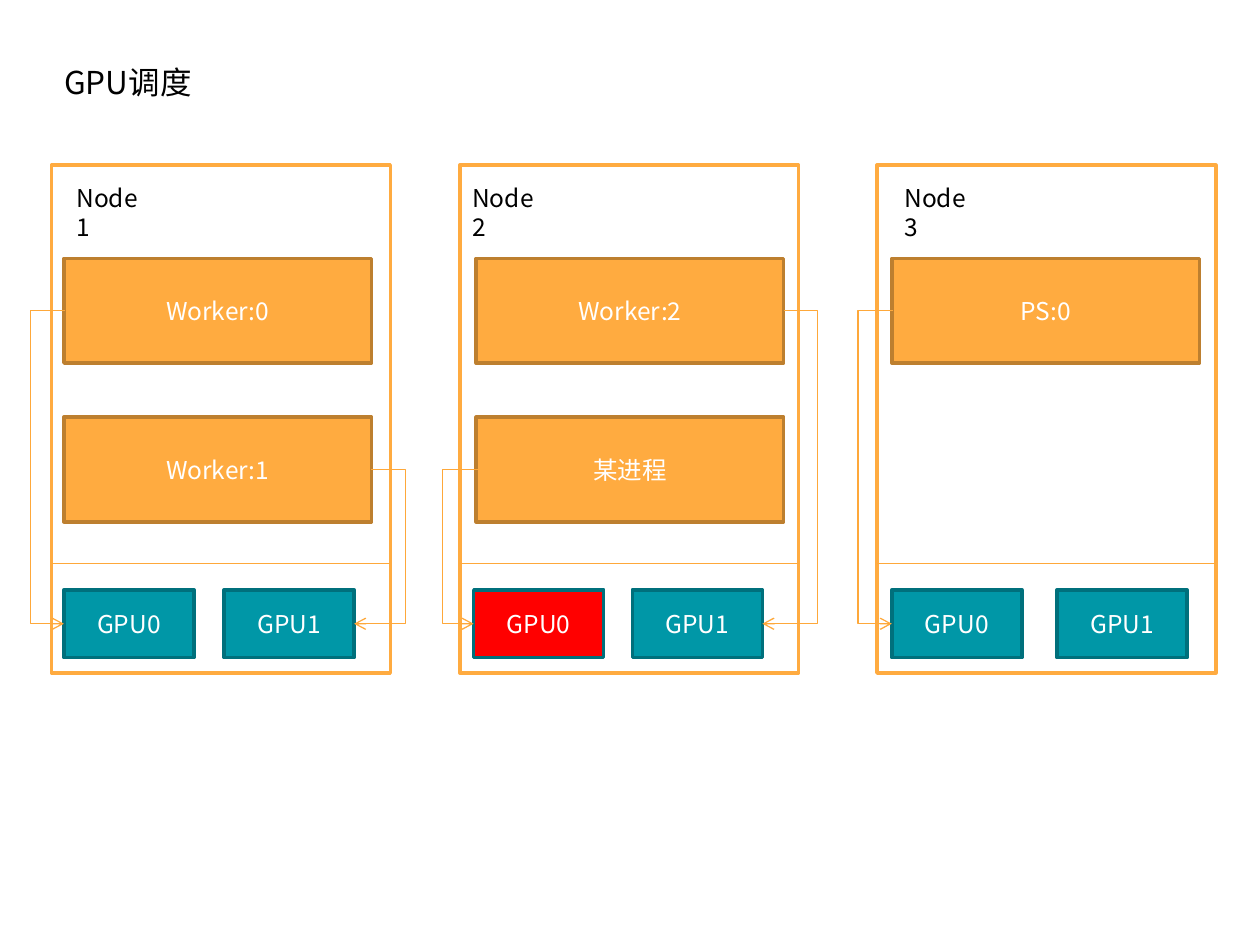
import pptx
import pptx.util
import pptx.dml.color
import pptx.enum.shapes
import pptx.enum.text
import pptx.oxml
import pptx.oxml.ns

Cm = pptx.util.Cm
Pt = pptx.util.Pt
FONT = "Noto Sans CJK SC"
COLORS = {
    "text": "000000", "white": "FFFFFF", "orange": "FFAB40",
    "brown": "BD7F2F", "teal": "0097A7", "dark_teal": "00707C",
    "busy": "FF0000", "link": "FEA83A",
}
NODE_W, NODE_H, NODE_TOP = 6.83, 10.24, 3.33
PROC_W, PROC_H, PROC_TOP, PROC_PITCH = 6.2, 2.11, 1.88, 3.2
GPU_W, GPU_H, GPU_TOP = 2.62, 1.37, 8.56
DIVIDER_Y = 8.03
ELBOW_OUT = 0.68

NODES = [
    {"name": "Node1", "left": 1.04, "label_x": 0.25, "proc_x": 0.25,
     "gpu_x": (0.25, 3.48), "procs": (("Worker:0", 0), ("Worker:1", 1)),
     "busy": ()},
    {"name": "Node2", "left": 9.27, "label_x": 0, "proc_x": 0.33,
     "gpu_x": (0.28, 3.48), "procs": (("Worker:2", 1), ("某进程", 0)),
     "busy": (0,)},
    {"name": "Node3", "left": 17.68, "label_x": 0.3, "proc_x": 0.3,
     "gpu_x": (0.3, 3.63), "procs": (("PS:0", 0),), "busy": ()},
]


def rgb(key):
    return pptx.dml.color.RGBColor.from_string(COLORS[key])


def style_text(p, size, color):
    p.font.name = FONT
    p.font.size = Pt(size)
    p.font.color.rgb = rgb(color)
    for r in p.runs:
        ea = pptx.oxml.parse_xml(
            f'<a:ea {pptx.oxml.ns.nsdecls("a")} typeface="{FONT}"/>')
        r._r.get_or_add_rPr().append(ea)


def add_box(s, x, y, w, h, fill, line, text=None):
    sp = s.shapes.add_shape(pptx.enum.shapes.MSO_SHAPE.RECTANGLE,
                            Cm(x), Cm(y), Cm(w), Cm(h))
    sp.shadow.inherit = False
    sp.fill.solid()
    sp.fill.fore_color.rgb = rgb(fill)
    sp.line.color.rgb = rgb(line)
    sp.line.width = Pt(2)
    if text:
        tf = sp.text_frame
        tf.text = text
        tf.vertical_anchor = pptx.enum.text.MSO_ANCHOR.MIDDLE
        p = tf.paragraphs[0]
        p.alignment = pptx.enum.text.PP_ALIGN.CENTER
        style_text(p, 14, "white")


def add_line(s, kind, x1, y1, x2, y2):
    cxn = s.shapes.add_connector(kind, Cm(x1), Cm(y1), Cm(x2), Cm(y2))
    cxn.line.color.rgb = rgb("link")
    cxn.line.width = Pt(0.75)
    cxn._element.spPr.append(pptx.oxml.parse_xml(
        f'<a:effectLst {pptx.oxml.ns.nsdecls("a")}/>'))
    return cxn


def add_link(s, x1, y1, x2, y2, bend_x):
    cxn = add_line(s, pptx.enum.shapes.MSO_CONNECTOR.ELBOW, x1, y1, x2, y2)
    ns = pptx.oxml.ns.nsdecls("a")
    adj = round((bend_x - x1) / (x2 - x1) * 100000)
    geom = cxn._element.spPr.find(pptx.oxml.ns.qn("a:prstGeom"))
    geom.find(pptx.oxml.ns.qn("a:avLst")).append(pptx.oxml.parse_xml(
        f'<a:gd {ns} name="adj1" fmla="val {adj}"/>'))
    cxn.line._get_or_add_ln().append(
        pptx.oxml.parse_xml(f'<a:tailEnd {ns} type="arrow"/>'))


def add_label(s, x, y, text):
    tf = s.shapes.add_textbox(Cm(x), Cm(y), Cm(1.9), Cm(0.86)).text_frame
    tf.word_wrap = True
    tf.text = text
    style_text(tf.paragraphs[0], 14, "text")


def add_title(s, x, y, w, h):
    sp = s.shapes.title
    sp.left, sp.top, sp.width, sp.height = Cm(x), Cm(y), Cm(w), Cm(h)
    tf = sp.text_frame
    tf.text = "GPU调度"
    tf.vertical_anchor = pptx.enum.text.MSO_ANCHOR.MIDDLE
    tf.auto_size = pptx.enum.text.MSO_AUTO_SIZE.NONE
    p = tf.paragraphs[0]
    p.alignment = pptx.enum.text.PP_ALIGN.LEFT
    style_text(p, 18, "text")


def add_node(s, x, y, node):
    add_box(s, x, y, NODE_W, NODE_H, "white", "orange")
    add_line(s, pptx.enum.shapes.MSO_CONNECTOR.STRAIGHT,
             x, y + DIVIDER_Y, x + NODE_W, y + DIVIDER_Y)
    add_label(s, x + node["label_x"], y + 0.23, node["name"])
    for i, gpu_x in enumerate(node["gpu_x"]):
        fill = "busy" if i in node["busy"] else "teal"
        add_box(s, x + gpu_x, y + GPU_TOP, GPU_W, GPU_H,
                fill, "dark_teal", f"GPU{i}")
    for i, (name, gpu) in enumerate(node["procs"]):
        proc_x = x + node["proc_x"]
        proc_y = y + PROC_TOP + i * PROC_PITCH
        add_box(s, proc_x, proc_y, PROC_W, PROC_H, "orange", "brown", name)
        gpu_x = x + node["gpu_x"][gpu]
        if gpu == 0:
            start, end, bend = proc_x + 0.03, gpu_x, proc_x - ELBOW_OUT
        else:
            start, end = proc_x + PROC_W, gpu_x + GPU_W
            bend = start + ELBOW_OUT
        add_link(s, start, proc_y + PROC_H / 2,
                 end, y + GPU_TOP + GPU_H / 2, bend)


def main():
    prs = pptx.Presentation()
    prs.slide_width, prs.slide_height = Cm(25.4), Cm(19.05)
    s = prs.slides.add_slide(prs.slide_layouts[5])
    add_title(s, 1.04, 1.14, 7.77, 1.02)
    for node in NODES:
        add_node(s, node["left"], NODE_TOP, node)
    prs.save("out.pptx")


if __name__ == "__main__":
    main()
